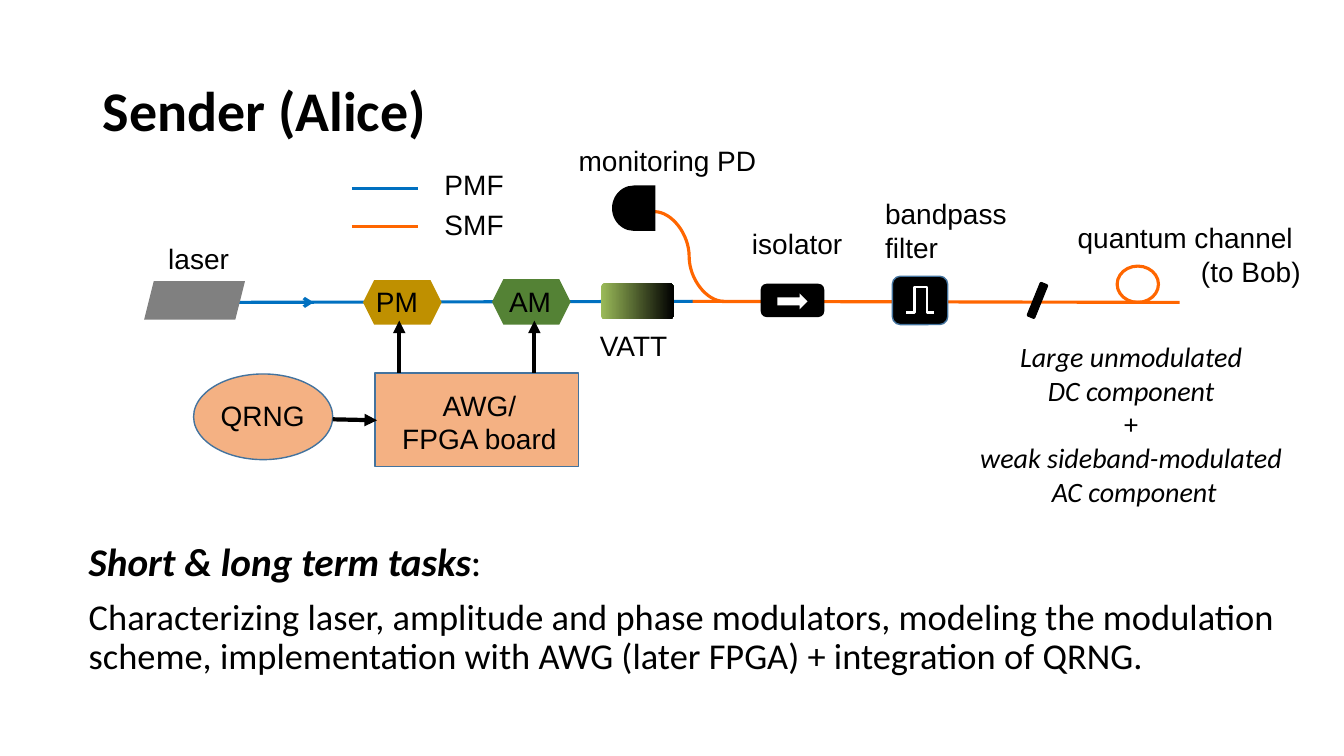
from dataclasses import dataclass

from lxml import etree
from pptx import Presentation
from pptx.dml.color import RGBColor
from pptx.enum.shapes import MSO_CONNECTOR, MSO_SHAPE
from pptx.enum.text import MSO_ANCHOR, MSO_AUTO_SIZE, PP_ALIGN
from pptx.oxml.ns import qn
from pptx.util import Inches, Pt

STRAIGHT, CURVE = MSO_CONNECTOR.STRAIGHT, MSO_CONNECTOR.CURVE
LEFT, CENTER, RIGHT = PP_ALIGN.LEFT, PP_ALIGN.CENTER, PP_ALIGN.RIGHT
RECTANGLE, ROUNDED = MSO_SHAPE.RECTANGLE, MSO_SHAPE.ROUNDED_RECTANGLE
OVAL, HEXAGON = MSO_SHAPE.OVAL, MSO_SHAPE.HEXAGON
PARALLELOGRAM, DELAY = MSO_SHAPE.PARALLELOGRAM, MSO_SHAPE.FLOWCHART_DELAY
RIGHT_ARROW = MSO_SHAPE.RIGHT_ARROW
MIDDLE, TOP = MSO_ANCHOR.MIDDLE, MSO_ANCHOR.TOP
FIT_SHAPE = MSO_AUTO_SIZE.SHAPE_TO_FIT_TEXT


@dataclass(frozen=True)
class Theme:
    """Colours, fonts and sizes of the slide."""
    black: str = "000000"
    white: str = "FFFFFF"
    pmf: str = "0070C0"
    smf: str = "FF6600"
    laser: str = "808080"
    phase: str = "BF9000"
    amplitude: str = "548235"
    attenuator: str = "9BBB59"
    electronics: str = "F4B183"
    outline: str = "43739E"
    heading_font: str = "Calibri"
    label_font: str = "Arial"
    title_size: float = 40
    task_heading_size: float = 28
    task_size: float = 26
    label_size: float = 20
    fiber_width: float = 2.25
    signal_width: float = 3
    pulse_width: float = 1.5
    outline_width: float = 1
    thin_width: float = 0.74


THEME = Theme()


def rgb(color):
    """Turn a hex string into a colour."""
    return RGBColor.from_string(color)


def format_run(run, size, font, bold=False, italic=False):
    """Set the character format of a run."""
    run.font.size = Pt(size)
    run.font.name = font
    run.font.bold = bold
    run.font.italic = italic
    run.font.color.rgb = rgb(THEME.black)


def place(shape, left, top, width, height):
    """Move and size a shape, in inches."""
    shape.left, shape.top = Inches(left), Inches(top)
    shape.width, shape.height = Inches(width), Inches(height)


def paint(shape, fill=None, line=None, width=THEME.outline_width):
    """Set the fill and outline of a shape and remove its shadow."""
    shape.shadow.inherit = False
    if fill:
        shape.fill.solid()
        shape.fill.fore_color.rgb = rgb(fill)
    else:
        shape.fill.background()
    if line:
        shape.line.color.rgb = rgb(line)
        shape.line.width = Pt(width)
    else:
        shape.line.fill.background()


def add_device(slide, kind, box, fill=None, line=None, width=THEME.outline_width,
               corner=None, rotation=0):
    """Add a preset shape with optional fill and outline."""
    shape = slide.shapes.add_shape(kind, *map(Inches, box))
    shape.rotation = rotation
    if corner is not None:
        shape.adjustments[0] = corner
    paint(shape, fill, line, width)
    return shape


def add_pulse(slide, points):
    """Draw the filter's pulse as one open outline."""
    start, *others = [tuple(map(Inches, point)) for point in points]
    builder = slide.shapes.build_freeform(*start)
    builder.add_line_segments(others, close=False)
    paint(builder.convert_to_shape(), line=THEME.white, width=THEME.pulse_width)


def add_line(slide, start, end, color, width=THEME.fiber_width, kind=STRAIGHT, arrow=None):
    """Add a connector, with an arrowhead at its end if one is named."""
    connector = slide.shapes.add_connector(kind, *map(Inches, (*start, *end)))
    connector.line.color.rgb = rgb(color)
    connector.line.width = Pt(width)
    if arrow:
        etree.SubElement(connector.line._get_or_add_ln(), qn("a:tailEnd"), type=arrow)
    etree.SubElement(connector._element.spPr, qn("a:effectLst"))


def add_label(slide, lines, box, align=LEFT, font=THEME.label_font, italic=False, gap=0):
    """Add an unwrapped label with one paragraph per line."""
    frame = slide.shapes.add_textbox(*map(Inches, box)).text_frame
    frame.word_wrap = False
    frame.text = "\n".join(lines)
    for index, paragraph in enumerate(frame.paragraphs):
        paragraph.alignment = align
        if gap and index:
            paragraph.space_before = Pt(gap)
        for run in paragraph.runs:
            format_run(run, THEME.label_size, font, italic=italic)
    return frame


def fill_title(slide):
    """Write the slide title."""
    title = slide.shapes.title
    place(title, 0.92, 0.4, 11.5, 1.45)
    title.text_frame.text = "Sender (Alice)"
    title.text_frame.vertical_anchor = MIDDLE
    paragraph = title.text_frame.paragraphs[0]
    paragraph.alignment = LEFT
    paragraph.line_spacing = 0.9
    format_run(paragraph.runs[0], THEME.title_size, THEME.heading_font, bold=True)


def fill_tasks(slide):
    """Write the tasks into the body placeholder, without bullets."""
    body = slide.placeholders[1]
    place(body, 0.78, 5.33, 12.11, 1.78)
    frame = body.text_frame
    frame.vertical_anchor = TOP
    frame.text = ("Short & long term tasks\n"
                  "Characterizing laser, amplitude and phase modulators, modeling the "
                  "modulation scheme, implementation with AWG (later FPGA) + integration of QRNG.")
    heading, tasks = frame.paragraphs
    colon = heading.add_run()
    colon.text = ": "
    format_run(heading.runs[0], THEME.task_heading_size, THEME.heading_font, True, True)
    format_run(colon, THEME.task_heading_size, THEME.heading_font)
    format_run(tasks.runs[0], THEME.task_size, THEME.heading_font)
    for paragraph in (heading, tasks):
        paragraph.alignment = LEFT
        paragraph.line_spacing = 0.9
        paragraph.space_before = Pt(10)
        properties = paragraph._p.get_or_add_pPr()
        properties.set("marL", "0")
        properties.set("indent", "0")
        etree.SubElement(properties, qn("a:buNone"))


def add_fibers(slide):
    """Draw the fibers and their legend."""
    add_line(slide, (6.86, 2.99), (11.7, 3), THEME.smf)
    add_line(slide, (2.81, 3), (3.11, 3), THEME.pmf, arrow="arrow")
    add_line(slide, (2.11, 3), (6.87, 2.99), THEME.pmf)
    add_line(slide, (7.18, 2.99), (6.49, 2.1), THEME.smf, kind=CURVE)
    add_device(slide, OVAL, (11.08, 2.64, 0.41, 0.36), line=THEME.smf, width=THEME.fiber_width)
    for y, color in ((1.87, THEME.pmf), (2.25, THEME.smf)):
        add_line(slide, (3.49, y), (4.15, y), color)
    add_label(slide, ["PMF", "SMF"], (4.31, 1.61, 1.28, 0.91), gap=5)


def add_optics(slide):
    """Draw the optical components along the fiber."""
    add_device(slide, PARALLELOGRAM, (1.43, 2.79, 1, 0.38), THEME.laser)
    add_device(slide, HEXAGON, (3.6, 2.78, 0.78, 0.44), THEME.phase)
    add_device(slide, HEXAGON, (4.88, 2.77, 0.78, 0.45), THEME.amplitude)
    attenuator = add_device(slide, ROUNDED, (5.96, 2.81, 0.72, 0.36), corner=0.12)
    attenuator.fill.gradient()
    attenuator.fill.gradient_angle = 0
    for stop, color in zip(attenuator.fill.gradient_stops, (THEME.attenuator, THEME.black)):
        stop.color.rgb = rgb(color)
    add_device(slide, DELAY, (6.07, 1.84, 0.43, 0.45), THEME.black, rotation=180)
    add_device(slide, ROUNDED, (7.55, 2.82, 0.62, 0.32), THEME.black, THEME.black,
               THEME.thin_width)
    add_device(slide, RIGHT_ARROW, (7.71, 2.91, 0.3, 0.16), THEME.white)
    add_device(slide, ROUNDED, (8.85, 2.74, 0.55, 0.48), THEME.black, THEME.outline)
    add_pulse(slide, ((8.99, 3.1), (9.07, 3.1), (9.07, 2.85),
                      (9.19, 2.85), (9.19, 3.1), (9.26, 3.1)))
    add_device(slide, ROUNDED, (10.11, 2.94, 0.36, 0.08), THEME.black, THEME.black,
               THEME.thin_width, rotation=292)


def add_electronics(slide):
    """Draw the driving electronics and their signals."""
    add_device(slide, RECTANGLE, (3.72, 3.7, 2.02, 0.93), THEME.electronics, THEME.outline)
    add_device(slide, OVAL, (1.92, 3.71, 1.38, 0.85), THEME.electronics, THEME.outline)
    for start, end in (((3.96, 3.7), (3.96, 3.18)), ((5.3, 3.7), (5.3, 3.18)),
                       ((3.3, 4.16), (3.74, 4.17))):
        add_line(slide, start, end, THEME.black, THEME.signal_width, arrow="triangle")


def add_labels(slide):
    """Name the components and describe the output."""
    for lines, box, align in (
        (["laser"], (1.57, 2.35, 0.95, 0.43), LEFT),
        (["PM"], (3.63, 2.77, 0.79, 0.44), LEFT),
        (["AM"], (4.95, 2.77, 0.79, 0.44), LEFT),
        (["VATT"], (5.85, 3.21, 0.95, 0.46), LEFT),
        (["monitoring PD"], (5.64, 1.37, 2.05, 0.43), LEFT),
        (["isolator"], (7.36, 2.2, 1.28, 0.43), LEFT),
        (["bandpass", "filter"], (8.68, 1.9, 1.5, 0.75), LEFT),
        (["quantum channel ", "(to Bob)"], (10.5, 2.14, 2.5, 0.86), RIGHT),
        (["AWG/", "FPGA board"], (3.81, 3.8, 1.89, 0.75), CENTER),
        (["QRNG"], (1.66, 3.9, 1.89, 0.75), CENTER),
    ):
        add_label(slide, lines, box, align)
    output = add_label(
        slide, ["Large unmodulated ", "DC component ", "+ ", "weak sideband-modulated ",
                "AC component"],
        (9.61, 3.32, 3.28, 1.78), CENTER, THEME.heading_font, italic=True)
    output.auto_size = FIT_SHAPE
    output.paragraphs[2].runs[0].font.italic = False


def main():
    """Build and save the slide."""
    presentation = Presentation()
    presentation.slide_width, presentation.slide_height = Inches(13.33), Inches(7.5)
    slide = presentation.slides.add_slide(presentation.slide_layouts[1])
    for build in (fill_title, fill_tasks, add_fibers, add_optics, add_electronics, add_labels):
        build(slide)
    presentation.save("out.pptx")


main()
